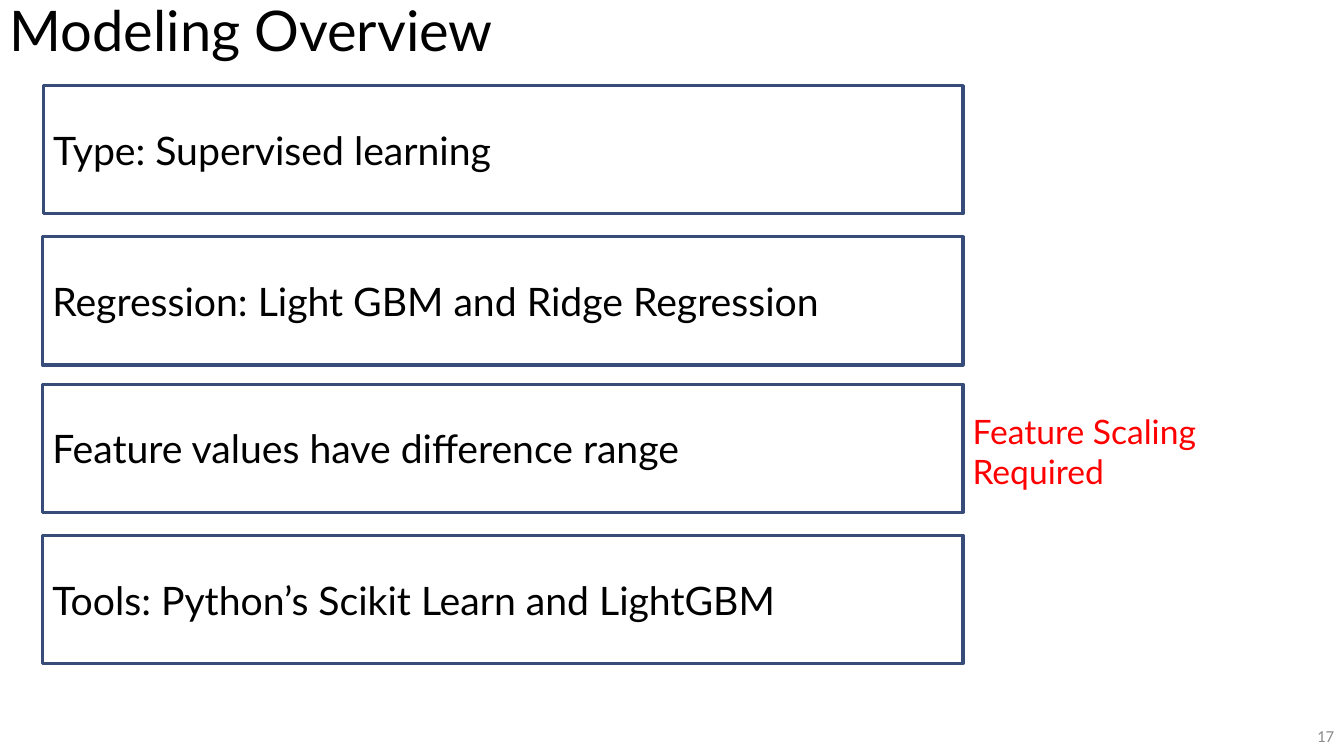
import pptx
import pptx.util
import pptx.dml.color
import pptx.enum.shapes
import pptx.enum.text

Cm = pptx.util.Cm
Pt = pptx.util.Pt
RGB = pptx.dml.color.RGBColor
ALIGN = pptx.enum.text.PP_ALIGN

BLACK = RGB(0x00, 0x00, 0x00)
NAVY = RGB(0x37, 0x4C, 0x78)
RED = RGB(0xFF, 0x00, 0x00)
GRAY = RGB(0x8C, 0x8C, 0x8C)

# Content
TITLE = "Modeling Overview"
NOTE = "Feature Scaling Required"
PAGE = "17"
# text, left, top (cm)
BOXES = [
    ("Type: Supervised learning", 1.09, 2.16),
    ("Regression: Light GBM and Ridge Regression", 1.07, 5.97),
    ("Feature values have difference range", 1.07, 9.68),
    ("Tools: Python’s Scikit Learn and LightGBM", 1.07, 13.49),
]
BOX_RIGHT, BOX_HEIGHT = 24.27, 3.23
SLIDE_W, SLIDE_H = 33.87, 19.05


def write(sp, text, size=28, color=BLACK, font="Lato", align=ALIGN.LEFT, spacing=1.0):
    tf = sp.text_frame
    tf.word_wrap = True
    tf.vertical_anchor = pptx.enum.text.MSO_ANCHOR.MIDDLE
    p = tf.paragraphs[0]
    p.alignment = align
    p.line_spacing = spacing
    r = p.add_run()
    r.text = text
    r.font.size = Pt(size)
    r.font.name = font
    r.font.color.rgb = color


prs = pptx.Presentation()
prs.slide_width, prs.slide_height = Cm(SLIDE_W), Cm(SLIDE_H)
s = prs.slides.add_slide(prs.slide_layouts[6])

# Title
sp = s.shapes.add_textbox(0, 0, Cm(SLIDE_W), Cm(1.68))
write(sp, TITLE, size=40, spacing=0.9)

# Outlined boxes sharing one right edge
for text, left, top in BOXES:
    sp = s.shapes.add_shape(pptx.enum.shapes.MSO_SHAPE.RECTANGLE,
                            Cm(left), Cm(top), Cm(BOX_RIGHT - left), Cm(BOX_HEIGHT))
    sp.shadow.inherit = False
    sp.fill.background()
    sp.line.color.rgb = NAVY
    sp.line.width = Pt(2.25)
    write(sp, text)

# Note beside the third box
sp = s.shapes.add_textbox(Cm(24.26), Cm(10.57), Cm(6.96), Cm(1.6))
write(sp, NOTE, size=24, color=RED)

# Page number in the bottom right corner
w, h = 7.62, 1.02
sp = s.shapes.add_textbox(Cm(SLIDE_W - w), Cm(SLIDE_H - h), Cm(w), Cm(h))
write(sp, PAGE, size=12, color=GRAY, font="Calibri", align=ALIGN.RIGHT)

prs.save("out.pptx")
